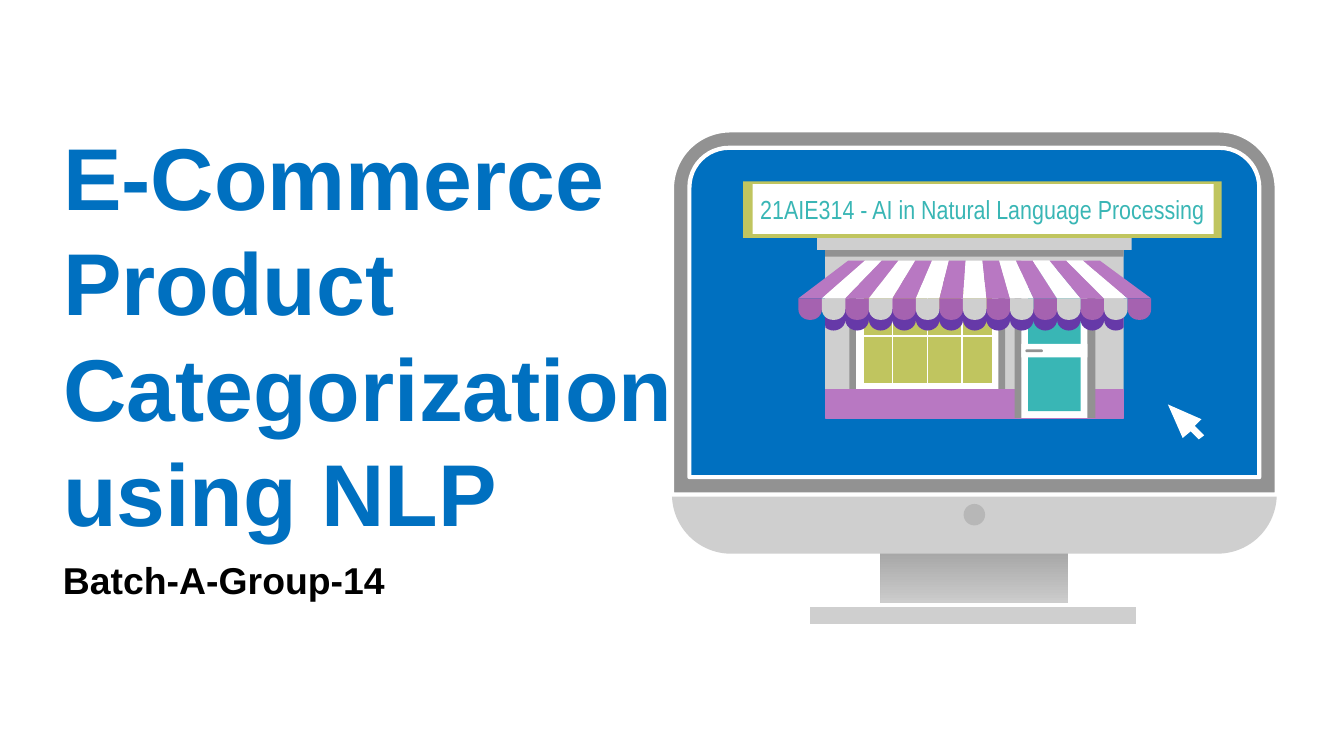
"""Build the title slide of an e-commerce categorization project with a web shop drawing."""
from math import cos, pi, sin

from lxml.etree import SubElement
from pptx import Presentation
from pptx.dml.color import RGBColor
from pptx.enum.shapes import MSO_CONNECTOR as LINE, MSO_SHAPE as KIND
from pptx.enum.text import MSO_ANCHOR, MSO_AUTO_SIZE, PP_ALIGN
from pptx.oxml.ns import qn
from pptx.util import Inches, Pt

BLUE, WHITE, LIGHT, GREY = "0070C0", "FFFFFF", "CFCFCF", "929292"
PURPLE, DARK_PURPLE, VIOLET = "B878C2", "A562B0", "6639A8"
OLIVE, TEAL = "C0C55F", "39B6B5"
RECT, TAB, ROUND = KIND.RECTANGLE, KIND.ROUND_2_SAME_RECTANGLE, KIND.ROUNDED_RECTANGLE

TITLE = ["E-Commerce Product", "Categorization", "using NLP"]
TEAM = ["Batch-A-Group-14"]
COURSE = ["21AIE314 - AI in Natural Language Processing"]

MONITOR = [
    (RECT, 6.01, 4.5, 2.46, 0.16, LIGHT, WHITE, 2.25, []),
    (ROUND, 5, 0.97, 4.5, 3.15, LIGHT, None, 0, [0.14]),
    (TAB, 5, 0.97, 4.5, 2.71, GREY, WHITE, 2.25, [0.16, 0]),
    (TAB, 5.13, 1.1, 4.24, 2.45, BLUE, WHITE, 2.25, [0.12, 0]),
    (KIND.OVAL, 7.17, 3.75, 0.16, 0.16, "B7B7B7", None, 0, []),
]
SHOP = [
    (6.14, 1.65, 2.22, 1.46, LIGHT),
    (6.32, 2.06, 1.16, 0.89, GREY),
    (6.37, 2.11, 1.06, 0.79, WHITE),
    (6.43, 2.16, 0.95, 0.69, OLIVE),
    (6.14, 2.9, 2.22, 0.21, PURPLE, PURPLE, 0.75),
    (7.55, 1.96, 0.6, 1.15, GREY),
    (7.6, 1.94, 0.49, 1.17, WHITE),
    (7.65, 1.99, 0.39, 1.07, TEAL),
    (7.6, 2.56, 0.49, 0.1, WHITE),
    (6.14, 1.72, 2.22, 0.19, GREY),
    (6.08, 1.65, 2.34, 0.21, LIGHT),
    (5.53, 1.35, 3.56, 0.42, OLIVE),
    (5.6, 1.37, 3.43, 0.37, WHITE),
]
WINDOW_BARS = [(6.39, 2.5, 7.41, 2.5)] + [(x, 2.08, x, 2.88) for x in (6.64, 6.9, 7.16)]
CURSOR = [(8.69, 3.01), (8.8, 3.26), (8.86, 3.21), (8.92, 3.27),
          (8.96, 3.24), (8.89, 3.17), (8.94, 3.12)]

STRIPES = 15
AWNING_TOP, AWNING_EDGE = 1.94, 2.22
TOP_LEFT, TOP_STEP = 6.31, 0.125
EDGE_LEFT, EDGE_STEP = 5.94, 0.175
SCALLOP_HEIGHT = 0.16
WALL_LEFT, WALL_RIGHT = 6.14, 8.36
SHADE_TOP, SHADE_CURVE, SHADE_DEPTH, ARC_STEPS = 2.3, 2.38, 0.08, 12


def color(value):
    return RGBColor.from_string(value)


def paint(shape, fill, line=None, width=0):
    shape.shadow.inherit = False
    shape.fill.solid()
    shape.fill.fore_color.rgb = color(fill)
    if line:
        shape.line.color.rgb = color(line)
        shape.line.width = Pt(width)
    else:
        shape.line.fill.background()


def block(shapes, kind, x, y, w, h, fill, line=None, width=0, rounding=()):
    shape = shapes.add_shape(kind, Inches(x), Inches(y), Inches(w), Inches(h))
    for index, amount in enumerate(rounding):
        shape.adjustments[index] = amount
    paint(shape, fill, line, width)
    return shape


def outline(shapes, points, fill):
    start, *rest = [(Inches(x), Inches(y)) for x, y in points]
    builder = shapes.build_freeform(*start)
    builder.add_line_segments(rest, close=True)
    paint(builder.convert_to_shape(), fill)


def bar(shapes, ends):
    connector = shapes.add_connector(LINE.STRAIGHT, *map(Inches, ends))
    connector.line.color.rgb = color(WHITE)
    connector.line.width = Pt(0.85)
    SubElement(connector._element.spPr, qn("a:effectLst"))


def write(holder, box, lines, size, font, ink, bold=False, align=PP_ALIGN.LEFT):
    holder.left, holder.top, holder.width, holder.height = map(Inches, box)
    frame = holder.text_frame
    frame.word_wrap = True
    frame.auto_size = MSO_AUTO_SIZE.NONE
    frame.vertical_anchor = MSO_ANCHOR.MIDDLE
    frame.margin_left = frame.margin_right = Inches(0.1)
    frame.margin_top = frame.margin_bottom = Inches(0.1)
    paragraph = frame.paragraphs[0]
    paragraph.alignment = align
    paragraph.line_spacing = 1.0
    for index, line in enumerate(lines):
        if index:
            paragraph.add_line_break()
        run = paragraph.add_run()
        run.text = line
        run.font.size = Pt(size)
        run.font.name = font
        run.font.bold = bold
        run.font.color.rgb = color(ink)


def draw_monitor(shapes):
    stand = block(shapes, RECT, 6.55, 3.91, 1.4, 0.73, GREY)
    stand.fill.gradient()
    stand.fill.gradient_angle = 270
    for stop, shade in zip(stand.fill.gradient_stops, ("919191", "DDDDDD")):
        stop.color.rgb = color(shade)
    for part in MONITOR:
        block(shapes, *part)


def draw_awning(shapes):
    shade = [(WALL_RIGHT, SHADE_TOP), (WALL_LEFT, SHADE_TOP)]
    for slot in range(1, STRIPES - 1):
        middle = EDGE_LEFT + (slot + 0.5) * EDGE_STEP
        for step in range(ARC_STEPS + 1):
            angle = pi * step / ARC_STEPS
            x = middle - EDGE_STEP / 2 * cos(angle)
            shade.append((min(max(x, WALL_LEFT), WALL_RIGHT),
                          SHADE_CURVE + SHADE_DEPTH * sin(angle)))
    outline(shapes, shade, VIOLET)
    for slot in range(STRIPES):
        top = TOP_LEFT + slot * TOP_STEP
        edge = EDGE_LEFT + slot * EDGE_STEP
        stripe, scallop = (WHITE, LIGHT) if slot % 2 else (PURPLE, DARK_PURPLE)
        outline(shapes, [(top, AWNING_TOP), (edge, AWNING_EDGE),
                         (edge + EDGE_STEP, AWNING_EDGE), (top + TOP_STEP, AWNING_TOP)], stripe)
        block(shapes, TAB, edge, AWNING_EDGE, EDGE_STEP, SCALLOP_HEIGHT, scallop,
              rounding=(0, 0.5))


def main():
    deck = Presentation()
    deck.slide_width = Inches(10)
    deck.slide_height = deck.slide_width * 9 // 16
    slide = deck.slides.add_slide(deck.slide_layouts[5])
    shapes = slide.shapes
    write(shapes.title, (0.37, 1.27, 5.07, 2.42), TITLE, 47, "Arial", BLUE, True)
    team = shapes.add_textbox(0, 0, 0, 0)
    write(team, (0.37, 3.98, 3.22, 0.66), TEAM, 20, "Arial", "000000", True)
    draw_monitor(shapes)
    for part in SHOP:
        block(shapes, RECT, *part)
    block(shapes, ROUND, 7.63, 2.6, 0.13, 0.02, GREY, rounding=(0.5,))
    for ends in WINDOW_BARS:
        bar(shapes, ends)
    draw_awning(shapes)
    outline(shapes, CURSOR, WHITE)
    course = shapes.add_textbox(0, 0, 0, 0)
    write(course, (3.98, 1.36, 6.66, 0.39), COURSE, 14, "Arial Narrow", TEAL,
          align=PP_ALIGN.CENTER)
    deck.save("out.pptx")


if __name__ == "__main__":
    main()
